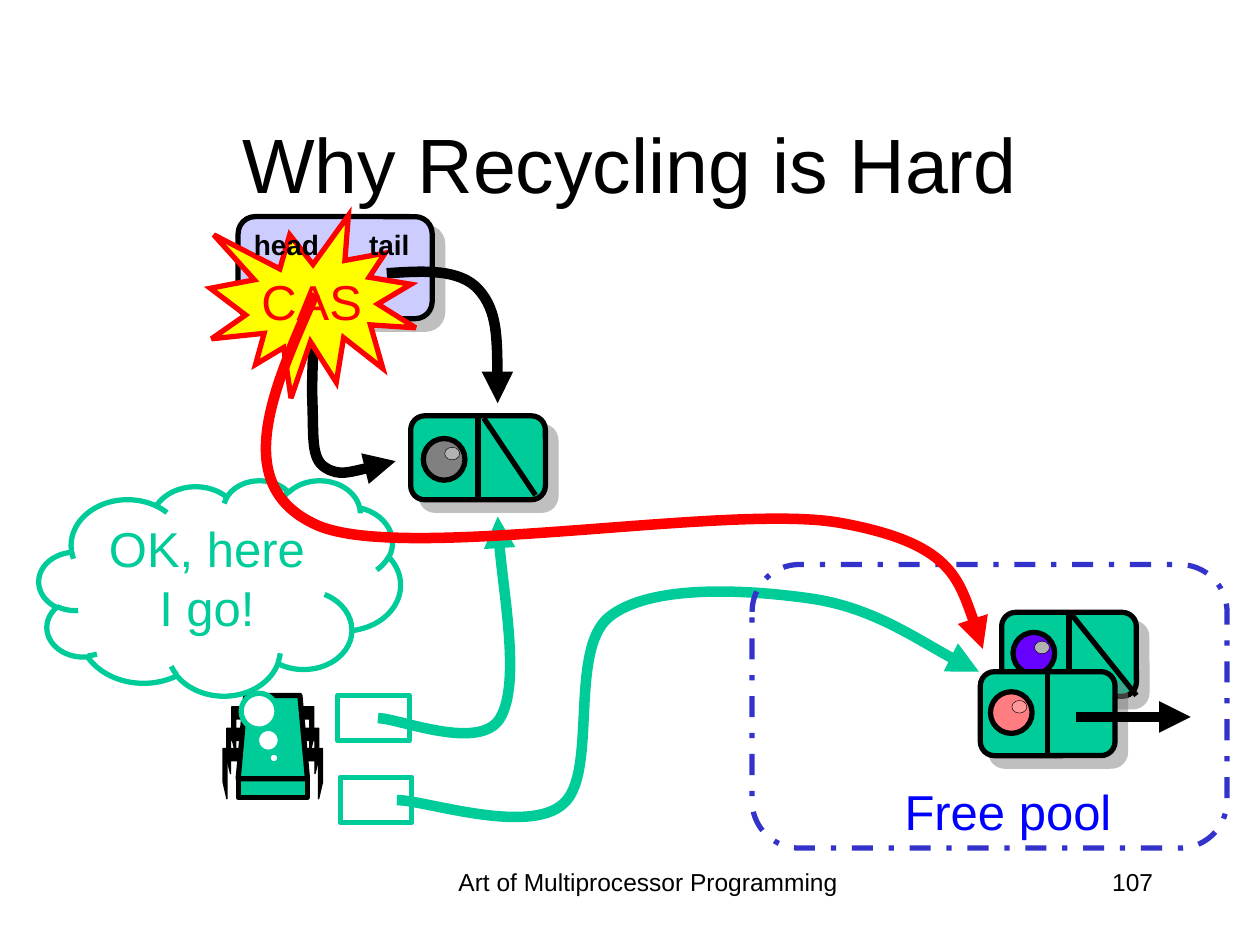
from dataclasses import dataclass
from lxml import etree
from pptx import Presentation
from pptx.dml.color import RGBColor
from pptx.enum.dml import MSO_LINE
from pptx.enum.shapes import MSO_CONNECTOR, MSO_SHAPE as Preset
from pptx.enum.text import MSO_ANCHOR as Anchor, MSO_AUTO_SIZE as AutoSize, PP_ALIGN as Align
from pptx.oxml.ns import qn
from pptx.util import Pt


@dataclass(frozen=True)
class Theme:
    font: str = "Arial"
    title: int = 44
    body: int = 28
    label: int = 16
    footer: int = 14
    black: str = "000000"
    white: str = "FFFFFF"
    green: str = "00CC99"
    red: str = "FF0000"
    yellow: str = "FFFF00"
    blue: str = "0000FF"
    lilac: str = "CCCCFF"
    pool: str = "3333CC"
    glint: str = "B2B2B2"
    shadow: str = "808080"
    thin: float = 0.75
    outline: int = 3
    arrow: int = 6


THEME = Theme()

FOOTERS = [
    ("Art of Multiprocessor Programming", (246.2, 491.8, 248.4, 36), Align.CENTER),
    ("107", (516.2, 491.8, 149.8, 36), Align.RIGHT),
]
TITLE = ("Why Recycling is Hard", (54, 48.2, 612, 90))
QUEUE_BOX = (136.1, 123.8, 110.9, 58.3)
QUEUE_LABELS = [("head", (135.7, 126.7, 56, 26.6)), ("tail", (201.5, 126.7, 42, 26.6))]
POOL_BOX = (429.8, 322.6, 271.4, 162)
POOL_LABEL = ("Free pool", (508, 442.8, 136, 41))
BURST = ("CAS", (120.2, 123.1, 117.4, 104.4))
CLOUD = ("OK, here I go!", (22.3, 274.3, 206.6, 123.1))
REGISTERS = [(193, 397.4, 41, 25.9), (194.4, 444.2, 41, 25.9)]
NEXT_ARROW = ((614.9, 409.7), (680.4, 409.7))

NODE_SIZE = (77, 48)
NODES = [
    {"at": (572.4, 349.9), "ball": (6.5, 11.5), "color": "6600FF", "glint": THEME.glint,
     "slash": ((38.9, 0), (77, 47.5))},
    {"at": (560.2, 383.8), "ball": (5.8, 11.5), "color": "FF7C80", "glint": "FF9999",
     "slash": None},
    {"at": (234.7, 237.6), "ball": (7.2, 13), "color": "808080", "glint": THEME.glint,
     "slash": ((41.8, 1.4), (71.3, 45.4))},
]

ROBOT_BASE = (136.1, 444.2, 39.6, 11.5)
ROBOT_BODY = [(136.1, 445), (140.4, 397.4), (171.4, 397.4), (175.7, 445)]
ROBOT_AXIS = 155.9
ROBOT_ARMS = [(184.3, 427.7, 28.8), (182.2, 416.2, 25.9), (179.3, 403.9, 26.6)]

HEAD_CURVE = [(182.2, 153.4), (180, 182.9), (177.8, 212.4), (178.6, 231.1), (179.3, 249.8),
              (177.8, 262.1), (185.8, 267.1), (193.7, 272.2), (209.5, 267.8), (226.1, 263.5)]
TAIL_CURVE = [(221, 156.2), (241.9, 154.8), (262.8, 153.4), (273.6, 165.6),
              (284.4, 177.8), (284.4, 203.8), (284.4, 230.4)]
FIRST_REGISTER_CURVE = [(216, 410.4), (227.5, 410.4), (274.3, 429.8), (285.8, 410.4),
                        (297.4, 391), (284.4, 319), (284.4, 295.2)]
SECOND_REGISTER_CURVE = [(226.8, 457.2), (242.6, 457.2), (301.7, 477.4), (321.8, 459.4),
                         (342, 442.1), (324.7, 372.2), (347.8, 352.8), (371.5, 333.4),
                         (427.7, 337), (463, 342), (498.2, 347), (539.3, 375.1), (559.4, 383.8)]
CAS_CURVE = [(180, 167.8), (155.5, 223.2), (131, 277.9), (181.4, 300.2), (231.1, 321.8),
             (416.9, 287.3), (480.2, 298.8), (543.6, 310.3), (552.2, 340.6), (561.6, 370.8)]


def points(values):
    return [Pt(value) for value in values]


def paint(shape, fill, line, width):
    shape.shadow.inherit = False
    if fill:
        shape.fill.solid()
        shape.fill.fore_color.rgb = RGBColor.from_string(fill)
    else:
        shape.fill.background()
    shape.line.color.rgb = RGBColor.from_string(line)
    shape.line.width = Pt(width)
    return shape


def add_preset(shapes, preset, box, fill, line, width=THEME.outline):
    return paint(shapes.add_shape(preset, *points(box)), fill, line, width)


def add_shadow(shape):
    effects = shape.element.spPr.find(qn("a:effectLst"))
    outer = etree.SubElement(effects, qn("a:outerShdw"), blurRad="0", dist=str(Pt(8.5)),
                             dir="2700000", algn="ctr", rotWithShape="0")
    color = etree.SubElement(outer, qn("a:srgbClr"), val=THEME.shadow)
    etree.SubElement(color, qn("a:alpha"), val="50000")


def add_line_part(shape, tag, **attributes):
    etree.SubElement(shape.element.spPr.find(qn("a:ln")), qn(tag), **attributes)


def add_arrowhead(shape):
    add_line_part(shape, "a:tailEnd", type="triangle")


def add_line(shapes, start, end, width=THEME.outline):
    line = shapes.add_connector(MSO_CONNECTOR.STRAIGHT, *points(start + end))
    line.line.color.rgb = RGBColor.from_string(THEME.black)
    line.line.width = Pt(width)
    etree.SubElement(line.element.spPr, qn("a:effectLst"))
    return line


def add_outline(shapes, corners, fill, line, width, close=False):
    builder = shapes.build_freeform(*points(corners[0]))
    builder.add_line_segments([points(corner) for corner in corners[1:]], close=close)
    return paint(builder.convert_to_shape(), fill, line, width)


def add_curve(shapes, knots, color):
    curve = add_outline(shapes, knots, None, color, THEME.arrow)
    steps = list(curve.element.iter(qn("a:lnTo")))
    for first in range(0, len(steps), 3):
        bezier = etree.Element(qn("a:cubicBezTo"))
        steps[first].addprevious(bezier)
        for step in steps[first:first + 3]:
            bezier.append(step[0])
            step.getparent().remove(step)
    add_arrowhead(curve)


def write(shape, text, size, color, align=Align.CENTER, anchor=Anchor.TOP, wrap=True, bold=False):
    frame = shape.text_frame
    frame.text = text
    frame.word_wrap = wrap
    frame.vertical_anchor = anchor
    para = frame.paragraphs[0]
    para.alignment = align
    font = para.runs[0].font
    font.name, font.size, font.bold = THEME.font, Pt(size), bold
    font.color.rgb = RGBColor.from_string(color)


def add_text(shapes, text, box, size, color, grow=False, **style):
    label = shapes.add_textbox(*points(box))
    write(label, text, size, color, wrap=not grow, **style)
    if grow:
        label.text_frame.auto_size = AutoSize.SHAPE_TO_FIT_TEXT


def add_node(shapes, node):
    group = shapes.add_group_shape().shapes
    left, top = node["at"]
    box = add_preset(group, Preset.ROUNDED_RECTANGLE, node["at"] + NODE_SIZE,
                     THEME.green, THEME.black)
    add_shadow(box)
    divider = add_line(group, node["at"], node["at"])
    divider.begin_connect(box, 0)
    divider.end_connect(box, 2)
    if node["slash"]:
        add_line(group, *[(left + x, top + y) for x, y in node["slash"]])
    ball_x, ball_y = left + node["ball"][0], top + node["ball"][1]
    add_preset(group, Preset.OVAL, (ball_x, ball_y, 23.8, 23.8), node["color"], THEME.black)
    add_preset(group, Preset.OVAL, (ball_x + 12.2, ball_y + 5, 8.6, 7.2),
               node["glint"], THEME.black, 0.25)


def add_robot(shapes):
    group = shapes.add_group_shape().shapes
    add_preset(group, Preset.RECTANGLE, ROBOT_BASE, THEME.green, THEME.black)
    for outer, top, height in ROBOT_ARMS:
        elbow, hand = top + height * 0.67, top + 7
        arm = [(outer - 9.1, top), (outer, top), (outer, elbow),
               (outer - 2.2, top + height), (outer - 2.2, hand), (outer - 11, hand)]
        mirrored = [(2 * ROBOT_AXIS - x, y) for x, y in arm]
        for side in (arm, mirrored):
            add_outline(group, side, THEME.black, THEME.black, THEME.thin)
    add_outline(group, ROBOT_BODY, THEME.green, THEME.black, THEME.outline, close=True)


def main():
    deck = Presentation()
    deck.slide_width, deck.slide_height = Pt(720), Pt(540)
    page = deck.slides.add_slide(deck.slide_layouts[6])
    shapes = page.shapes
    for text, box, align in FOOTERS:
        add_text(shapes, text, box, THEME.footer, THEME.black, align=align)
    add_shadow(add_preset(shapes, Preset.ROUNDED_RECTANGLE, QUEUE_BOX, THEME.lilac, THEME.black))
    add_text(shapes, *TITLE, THEME.title, THEME.black, anchor=Anchor.MIDDLE)
    add_curve(shapes, HEAD_CURVE, THEME.black)
    for node in NODES:
        add_node(shapes, node)
    add_arrowhead(add_line(shapes, *NEXT_ARROW, THEME.arrow))
    add_robot(shapes)
    for box in REGISTERS:
        add_preset(shapes, Preset.RECTANGLE, box, None, THEME.green)
    add_curve(shapes, SECOND_REGISTER_CURVE, THEME.green)
    pool = add_preset(shapes, Preset.ROUNDED_RECTANGLE, POOL_BOX, None, THEME.pool)
    pool.line.dash_style = MSO_LINE.DASH_DOT
    add_text(shapes, *POOL_LABEL, THEME.body, THEME.blue, grow=True)
    add_curve(shapes, TAIL_CURVE, THEME.black)
    add_curve(shapes, FIRST_REGISTER_CURVE, THEME.green)
    burst = add_preset(shapes, Preset.EXPLOSION1, BURST[1], THEME.yellow, THEME.red)
    add_line_part(burst, "a:miter", lim="800000")
    write(burst, BURST[0], THEME.body, THEME.red, anchor=Anchor.MIDDLE, wrap=False)
    for text, box in QUEUE_LABELS:
        add_text(shapes, text, box, THEME.label, THEME.black, grow=True, bold=True)
    cloud = add_preset(shapes, Preset.CLOUD_CALLOUT, CLOUD[1], THEME.white, THEME.green)
    cloud.adjustments[0], cloud.adjustments[1] = 0.15, 0.79
    write(cloud, CLOUD[0], THEME.body, THEME.green)
    add_curve(shapes, CAS_CURVE, THEME.red)
    deck.save("out.pptx")


if __name__ == "__main__":
    main()
